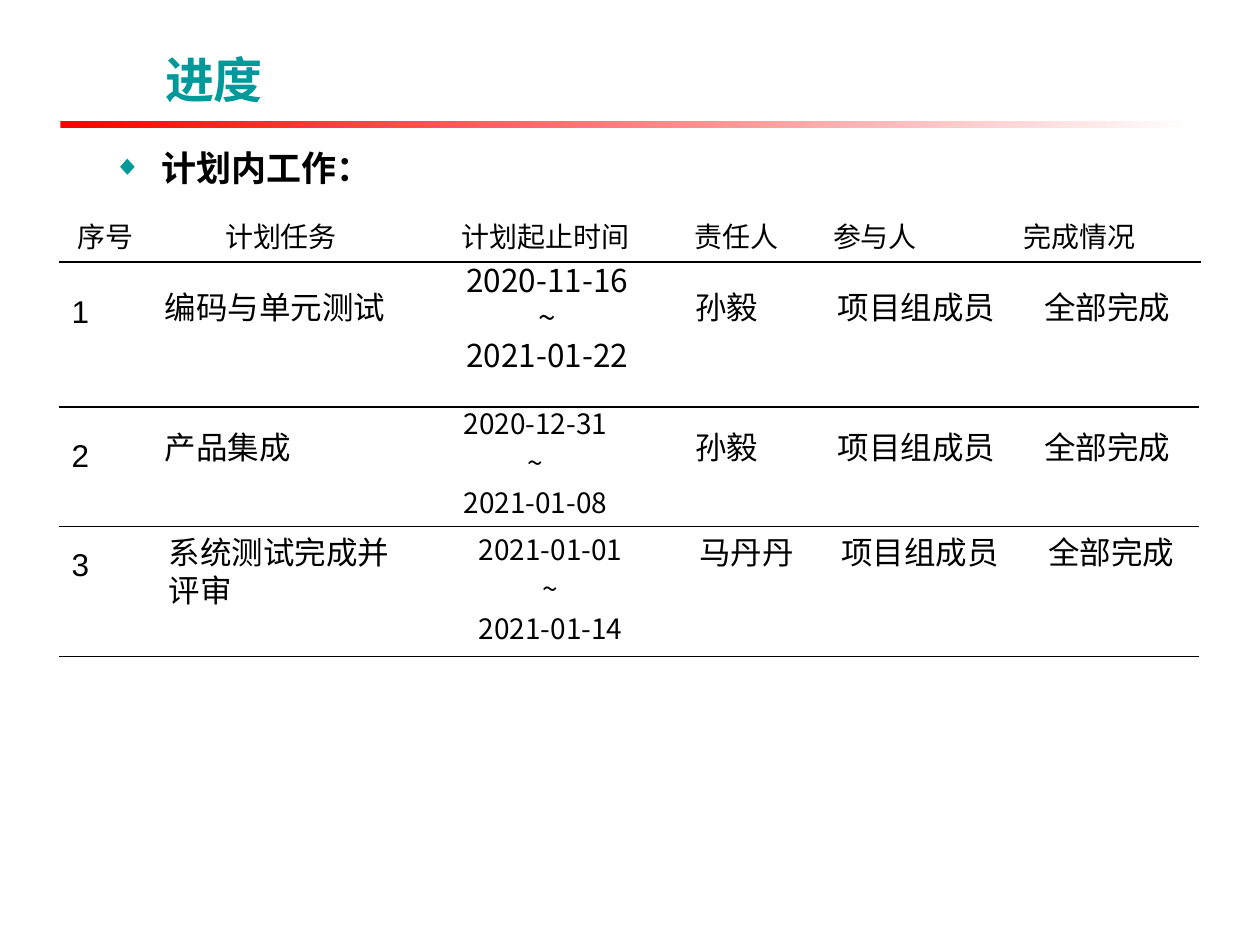
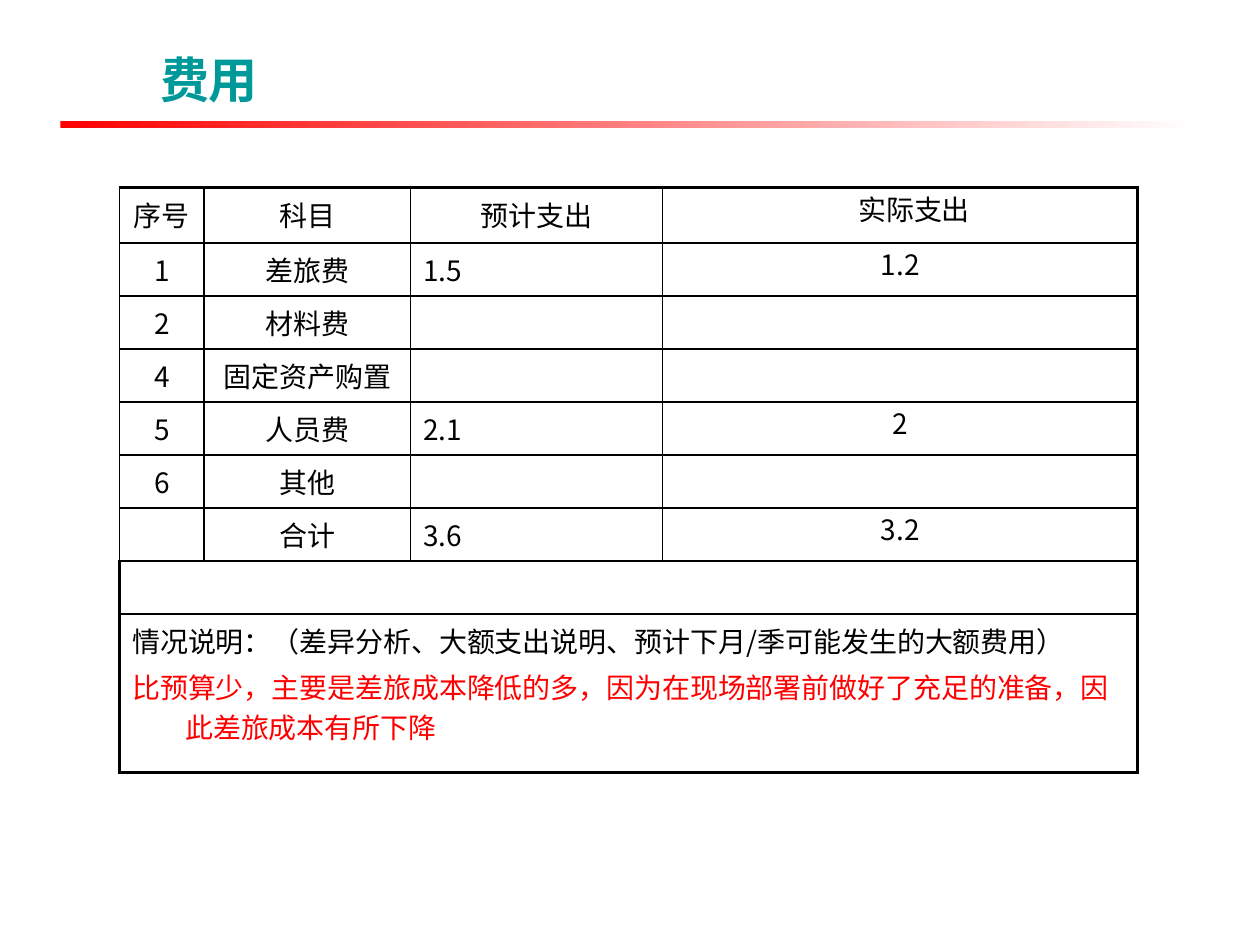
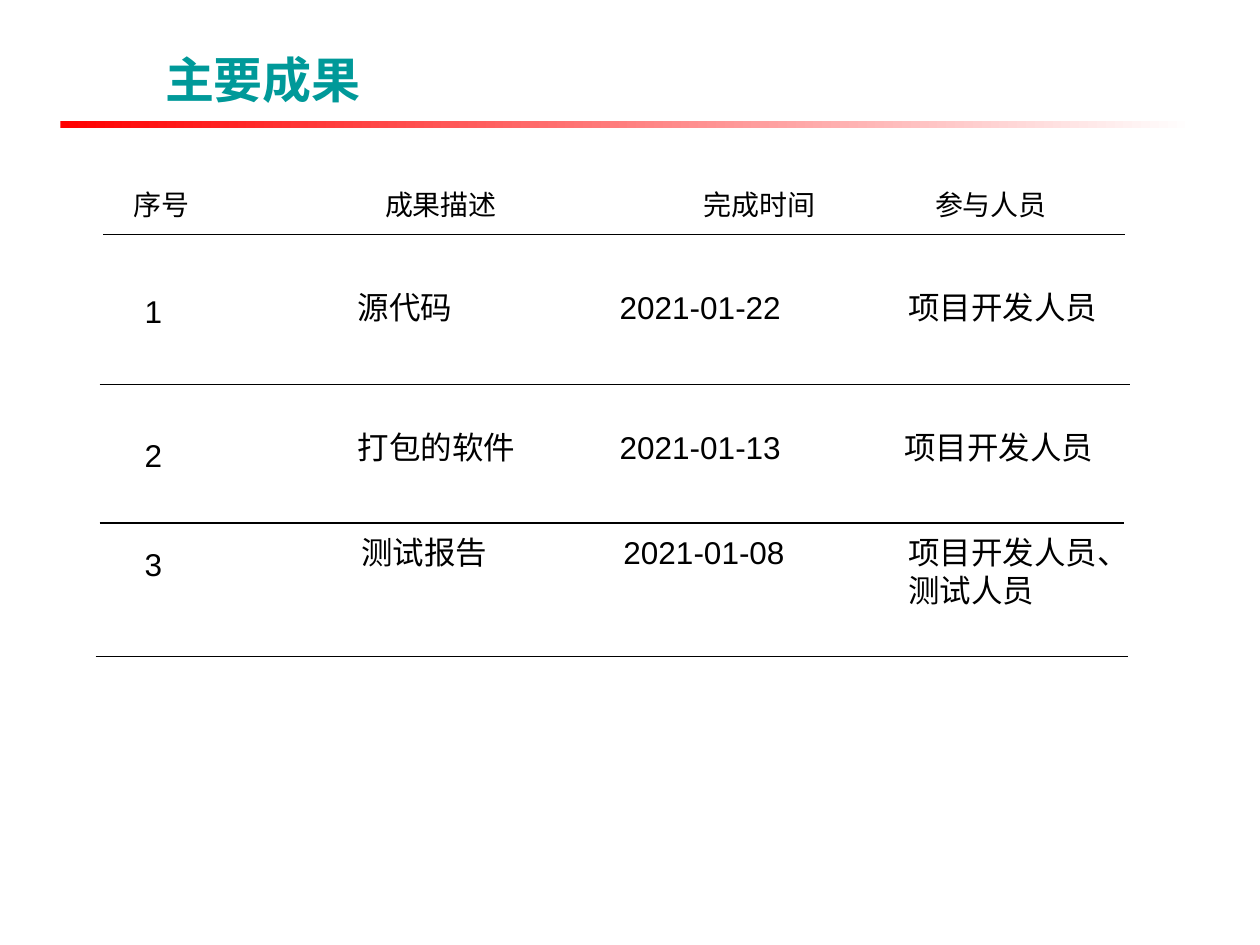
from lxml import etree
from pptx import Presentation
from pptx.dml.color import RGBColor
from pptx.enum.shapes import MSO_CONNECTOR, MSO_SHAPE
from pptx.enum.text import MSO_ANCHOR, PP_ALIGN
from pptx.oxml.ns import qn
from pptx.util import Inches, Pt

TEAL = RGBColor(0x00, 0x99, 0x99)
RED = RGBColor(0xFF, 0x00, 0x00)
WHITE = RGBColor(0xFF, 0xFF, 0xFF)
BLACK = RGBColor(0x00, 0x00, 0x00)
ARIAL, NOTO = "Arial", "Noto Sans CJK SC"
LEFT, CENTER = PP_ALIGN.LEFT, PP_ALIGN.CENTER
TOP, MIDDLE, BOTTOM = MSO_ANCHOR.TOP, MSO_ANCHOR.MIDDLE, MSO_ANCHOR.BOTTOM
RECT, STRAIGHT = MSO_SHAPE.RECTANGLE, MSO_CONNECTOR.STRAIGHT


def write(p, text, size, font, color=BLACK, align=LEFT, bold=False, gap=0.2):
    """Fill one paragraph; gap is the space before, as a share of the size."""
    p.text = text
    p.alignment = align
    p.space_before = Pt(size * gap)
    for r in p.runs:
        r.font.size = Pt(size)
        r.font.bold = bold
        r.font.name = font
        r.font.color.rgb = color
        etree.SubElement(r.font._element, qn("a:ea"), typeface=font)


def clear_cell(cell, left=0, right=0, top=0, bottom=0):
    """Remove the fill and draw borders of the given widths in points."""
    cell.fill.background()
    tc_pr = cell._tc.get_or_add_tcPr()
    sides = (("a:lnL", left), ("a:lnR", right), ("a:lnT", top), ("a:lnB", bottom))
    for i, (tag, width) in enumerate(sides):
        ln = etree.Element(qn(tag), w=str(Pt(width)))
        if width:
            solid = etree.SubElement(ln, qn("a:solidFill"))
            etree.SubElement(solid, qn("a:srgbClr"), val=str(BLACK))
        else:
            etree.SubElement(ln, qn("a:noFill"))
        tc_pr.insert(i, ln)


prs = Presentation()
prs.slide_width, prs.slide_height = Inches(10), Inches(7.5)

# Slides and titles
slides = []
for title, x, layout in (("进度", 1.21, 1), ("费用", 1.17, 5), ("主要成果", 1.21, 5)):
    s = prs.slides.add_slide(prs.slide_layouts[layout])
    sp = s.shapes.title
    sp.left, sp.top, sp.width, sp.height = Inches(x), Inches(0.28), Inches(8.35), Inches(0.63)
    sp.text_frame.vertical_anchor = BOTTOM
    write(sp.text_frame.paragraphs[0], title, 28, ARIAL, TEAL, bold=True, gap=0)
    slides.append(s)
progress, cost, results = slides

# Red band, moved to the master so that every slide shares it
band = progress.shapes.add_shape(RECT, Inches(0.48), Inches(0.96), Inches(9), Inches(0.06))
band.shadow.inherit = False
band.line.fill.background()
band.fill.gradient()
band.fill.gradient_angle = 0
for stop, color in zip(band.fill.gradient_stops, (RED, WHITE)):
    stop.color.rgb = color
prs.slide_master.shapes.element.insert(2, band.element)

# Heading with a diamond bullet
sp = progress.placeholders[1]
sp.left, sp.top, sp.width, sp.height = Inches(0.8), Inches(1.11), Inches(8.78), Inches(0.47)
p = sp.text_frame.paragraphs[0]
write(p, "计划内工作：", 20, ARIAL, bold=True)
p_pr = p._p.get_or_add_pPr()
p_pr.set("marL", str(Inches(0.38)))
p_pr.set("indent", str(-Inches(0.38)))
bullet_color = etree.SubElement(p_pr, qn("a:buClr"))
etree.SubElement(bullet_color, qn("a:srgbClr"), val=str(TEAL))
etree.SubElement(p_pr, qn("a:buSzPct"), val="80000")
etree.SubElement(p_pr, qn("a:buChar"), char="◆")

# Header rows of the progress and results lists
headers = (
    (progress, 0.47, 1.66, 0.4, TOP, (
        ("序号", 0.74), ("计划任务", 2.04), ("计划起止时间", 2.16),
        ("责任人", 0.87), ("参与人", 1.33), ("完成情况", 1.92))),
    (results, 0.82, 1.37, 0.49, MIDDLE, (
        ("序号", 0.92), ("成果描述", 3.52), ("完成时间", 1.54), ("参与人员", 2.13))),
)
for s, x, y, h, anchor, columns in headers:
    width = sum(w for _, w in columns)
    table = s.shapes.add_table(1, len(columns), Inches(x), Inches(y),
                               Inches(width), Inches(h)).table
    table.first_row = table.horz_banding = False
    for i, (text, w) in enumerate(columns):
        table.columns[i].width = Inches(w)
        cell = table.cell(0, i)
        cell.vertical_anchor = anchor
        clear_cell(cell, bottom=1)
        write(cell.text_frame.paragraphs[0], text, 16, NOTO, align=CENTER)

# Texts of the lists: left, top, width, text, size, font, alignment, gap
NUMBER_TOPS = (2.27, 3.41, 4.28)
ROW_TOPS = (2.24, 3.35, 4.18)
progress_boxes = [
    (3.16, 2.02, 2.37, "2020-11-16\n~\n2021-01-22", 18, NOTO, CENTER, 0),
    (3.13, 3.18, 2.24, "2020-12-31\n~\n2021-01-08", 16, NOTO, CENTER, 0.2),
    (3.37, 4.18, 2, "2021-01-01\n~\n2021-01-14", 16, NOTO, CENTER, 0.2),
]
results_boxes = []
for i, y in enumerate(NUMBER_TOPS):
    for x, boxes in ((0.47, progress_boxes), (1.05, results_boxes)):
        boxes.append((x, y, 0.66, str(i + 1), 18, ARIAL, LEFT, 0))

tasks = (("编码与单元测试", ARIAL, "孙毅", ARIAL),
         ("产品集成", ARIAL, "孙毅", ARIAL),
         ("系统测试完成并评审", NOTO, "马丹丹", NOTO))
for i, (y, (task, task_font, owner, owner_font)) in enumerate(zip(ROW_TOPS, tasks)):
    shift = 0.03 if i == 2 else 0
    for x, w, text, font in ((1.21, 2, task, task_font), (5.42, 1.15, owner, owner_font),
                             (6.55, 1.5, "项目组成员", ARIAL), (8.19, 1.21, "全部完成", ARIAL)):
        progress_boxes.append((x + shift, y, w, text, 18, font, LEFT, 0))

outcomes = (("源代码", "2021-01-22", "项目开发人员", 7.11),
            ("打包的软件", "2021-01-13", "项目开发人员", 7.08),
            ("测试报告", "2021-01-08", "项目开发人员、测试人员", 7.11))
for i, (y, (outcome, date, people, people_x)) in enumerate(zip(ROW_TOPS, outcomes)):
    shift = 0.03 if i == 2 else 0
    for x, w, text, font in ((2.74 + shift, 2, outcome, NOTO), (4.82 + shift, 2, date, ARIAL),
                             (people_x, 1.79, people, NOTO)):
        results_boxes.append((x, y, w, text, 18, font, LEFT, 0.2))

for s, boxes in ((progress, progress_boxes), (results, results_boxes)):
    for x, y, w, text, size, font, align, gap in boxes:
        lines = text.split("\n")
        h = 0.1 + 0.3 * len(lines)
        tf = s.shapes.add_textbox(Inches(x), Inches(y), Inches(w), Inches(h)).text_frame
        tf.word_wrap = True
        tf.vertical_anchor = TOP
        for i, line in enumerate(lines):
            p = tf.add_paragraph() if i else tf.paragraphs[0]
            write(p, line, size, font, align=align, gap=gap)

# Rules between the list rows
rules = [(progress, 0.47, 9.52, y) for y in (3.23, 4.18, 5.21)]
rules += [(results, 0.79, 8.97, 3.05), (results, 0.79, 8.92, 4.15), (results, 0.76, 8.95, 5.21)]
for s, x1, x2, y in rules:
    rule = s.shapes.add_connector(STRAIGHT, Inches(x1), Inches(y), Inches(x2), Inches(y))
    rule.line.color.rgb = BLACK
    rule.line.width = Pt(0.75)
    etree.SubElement(rule.element.spPr, qn("a:effectLst"))

# Cost table
cost_rows = (
    ("序号", "科目", "预计支出", "　实际支出"),
    ("1", "差旅费", "1.5", "1.2"),
    ("2", "材料费", "", ""),
    ("4", "固定资产购置", "", ""),
    ("5", "人员费", "2.1", "2"),
    ("6", "其他", "", ""),
    ("", "合计", "3.6", "3.2"),
)
col_widths = (0.67, 1.64, 2, 3.77)
row_heights = (0.44,) + (0.42,) * 7 + (1.26,)
table = cost.shapes.add_table(len(row_heights), len(col_widths), Inches(0.95), Inches(1.49),
                              Inches(sum(col_widths)), Inches(sum(row_heights))).table
table.first_row = table.horz_banding = False
for column, w in zip(table.columns, col_widths):
    column.width = Inches(w)
for row, h in zip(table.rows, row_heights):
    row.height = Inches(h)

last_row, last_col = len(row_heights) - 1, len(col_widths) - 1
for i in range(last_row + 1):
    for j in range(last_col + 1):
        clear_cell(table.cell(i, j),
                   left=2.25 if j == 0 and i >= len(cost_rows) else 1,
                   right=2.25 if j == last_col or i >= len(cost_rows) else 1,
                   top=2.25 if i == 0 else 1,
                   bottom=2.25 if i == last_row else 1)
for i, row in enumerate(cost_rows):
    for j, text in enumerate(row):
        cell = table.cell(i, j)
        if j == last_col:
            cell.margin_left = cell.margin_right = cell.margin_top = cell.margin_bottom = 0
        align = LEFT if i and j == 2 else CENTER
        if text:
            write(cell.text_frame.paragraphs[0], text, 16, NOTO, align=align)

# Blank row and explanation, each across the whole table
for i in (last_row - 1, last_row):
    table.cell(i, 0).merge(table.cell(i, last_col))
tf = table.cell(last_row, 0).text_frame
notes = (("情况说明：（差异分析、大额支出说明、预计下月/季可能发生的大额费用）", BLACK),
         ("比预算少，主要是差旅成本降低的多，因为在现场部署前做好了充足的准备，因此差旅成本有所下降", RED))
for i, (text, color) in enumerate(notes):
    p = tf.add_paragraph() if i else tf.paragraphs[0]
    write(p, text, 16, NOTO, color)
    p_pr = p._p.get_or_add_pPr()
    p_pr.set("marL", str(Inches(0.42)))
    p_pr.set("indent", str(-Inches(0.42)))

prs.save("out.pptx")
